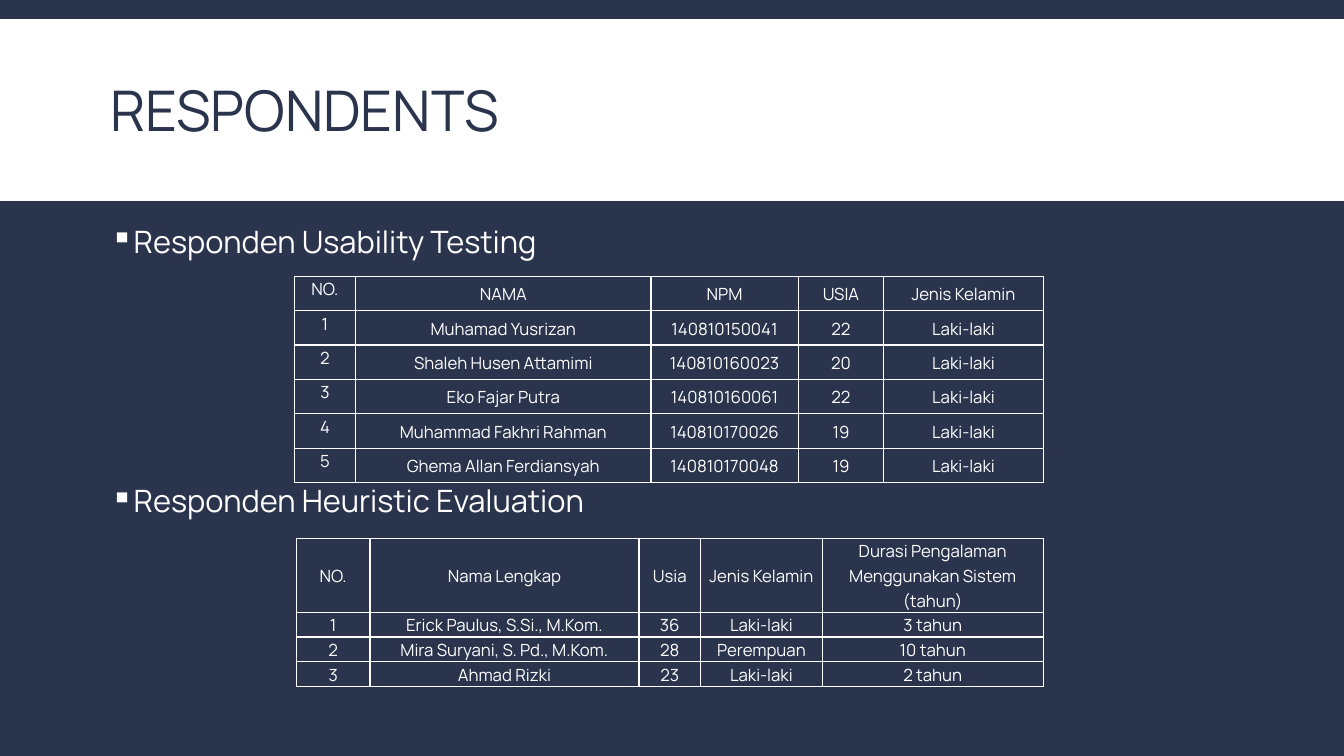
from lxml import etree
from pptx import Presentation
from pptx import util as u
from pptx.dml.color import RGBColor
from pptx.enum import shapes, text
from pptx.oxml import ns

COLORS = {"navy": "2A344D", "white": "FFFFFF"}

TESTERS = [
    ["NO.", "NAMA", "NPM", "USIA", "Jenis Kelamin"],
    ["1", "Muhamad Yusrizan", "140810150041", "22", "Laki-laki"],
    ["2", "Shaleh Husen Attamimi", "140810160023", "20", "Laki-laki"],
    ["3", "Eko Fajar Putra", "140810160061", "22", "Laki-laki"],
    ["4", "Muhammad Fakhri Rahman", "140810170026", "19", "Laki-laki"],
    ["5", "Ghema Allan Ferdiansyah", "140810170048", "19", "Laki-laki"],
]
EVALUATORS = [
    ["NO.", "Nama Lengkap", "Usia", "Jenis Kelamin",
     "Durasi Pengalaman Menggunakan Sistem (tahun)"],
    ["1", "Erick Paulus, S.Si., M.Kom.", "36", "Laki-laki", "3 tahun"],
    ["2", "Mira Suryani, S. Pd., M.Kom.", "28", "Perempuan", "10 tahun"],
    ["3", "Ahmad Rizki", "23", "Laki-laki", "2 tahun"],
]


class SlideBuilder:
    font = "Manrope"

    def __init__(self, page):
        self.page = page

    def color(self, name):
        return RGBColor.from_string(COLORS[name])

    def background(self, color):
        fill = self.page.background.fill
        fill.solid()
        fill.fore_color.rgb = self.color(color)

    def style(self, para, size, color, spacing):
        para.font.name = self.font
        para.font.size = u.Pt(size)
        para.font.color.rgb = self.color(color)
        para.line_spacing = spacing

    def band(self, left, top, width, height, color):
        shape = self.page.shapes.add_shape(
            shapes.MSO_SHAPE.RECTANGLE, *map(u.Pt, (left, top, width, height)))
        shape.shadow.inherit = False
        shape.fill.solid()
        shape.fill.fore_color.rgb = self.color(color)
        shape.line.fill.background()

    def text_frame(self, left, top, width, height, anchor):
        box = self.page.shapes.add_textbox(*map(u.Pt, (left, top, width, height)))
        box.text_frame.word_wrap = True
        box.text_frame.vertical_anchor = anchor
        return box.text_frame

    def title(self, left, top, width, height, words):
        frame = self.text_frame(left, top, width, height, text.MSO_ANCHOR.MIDDLE)
        para = frame.paragraphs[0]
        para.text = words
        self.style(para, 40, "navy", 0.85)

    def bullets(self, left, top, width, height, lines, gap):
        frame = self.text_frame(left, top, width, height, text.MSO_ANCHOR.TOP)
        for index, words in enumerate(lines):
            para = frame.add_paragraph() if index else frame.paragraphs[0]
            para.text = words
            self.style(para, 22, "white", 0.9)
            para.space_before = u.Pt(gap if index else 0)
            properties = para._p.get_or_add_pPr()
            properties.set("marL", str(u.Pt(14.4)))
            properties.set("indent", str(-u.Pt(14.4)))
            bullet = etree.Element(ns.qn("a:buChar"), char="▪")
            properties.insert_element_before(bullet, "a:tabLst", "a:defRPr", "a:extLst")

    def borders(self, cell):
        properties = cell._tc.get_or_add_tcPr()
        for side in "LRTB":
            line = etree.SubElement(properties, ns.qn(f"a:ln{side}"), w=str(u.Pt(1)))
            fill = etree.SubElement(line, ns.qn("a:solidFill"))
            etree.SubElement(fill, ns.qn("a:srgbClr"), val=COLORS["white"])

    def cell(self, cell, words, anchor):
        self.borders(cell)
        cell.fill.background()
        cell.margin_left = cell.margin_right = u.Pt(5)
        cell.margin_top = cell.margin_bottom = 0
        cell.vertical_anchor = anchor
        para = cell.text_frame.paragraphs[0]
        para.text = words
        para.alignment = text.PP_ALIGN.CENTER
        self.style(para, 12, "white", 1.07)

    def table(self, left, top, widths, heights, rows, top_cells):
        table = self.page.shapes.add_table(
            len(rows), len(widths),
            *map(u.Pt, (left, top, sum(widths), sum(heights)))).table
        table.first_row = table.horz_banding = False
        for column, width in zip(table.columns, widths):
            column.width = u.Pt(width)
        for row, height in zip(table.rows, heights):
            row.height = u.Pt(height)
        for r, row in enumerate(rows):
            for c, words in enumerate(row):
                at_top = c == 0 and r in top_cells
                anchor = text.MSO_ANCHOR.TOP if at_top else text.MSO_ANCHOR.MIDDLE
                self.cell(table.cell(r, c), words, anchor)


def main():
    deck = Presentation()
    deck.slide_width, deck.slide_height = u.Pt(960), u.Pt(540)
    slide = SlideBuilder(deck.slides.add_slide(deck.slide_layouts[6]))
    slide.background("navy")
    slide.band(0, 13.7, 960, 129.8, "white")
    slide.title(72, 22.3, 816, 118.8, "RESPONDENTS")
    slide.table(211.7, 384.5, [52.6, 192.2, 43.9, 87.1, 157.7],
                [52.9] + [17.6] * 3, EVALUATORS, range(1, 4))
    slide.bullets(72, 158.4, 816, 331.2,
                  ["Responden Usability Testing", "Responden Heuristic Evaluation"], 161.5)
    slide.table(210.2, 197.3, [43.9, 211, 105.1, 61.2, 113.8],
                [24.6] * 6, TESTERS, range(6))
    deck.save("out.pptx")


if __name__ == "__main__":
    main()
